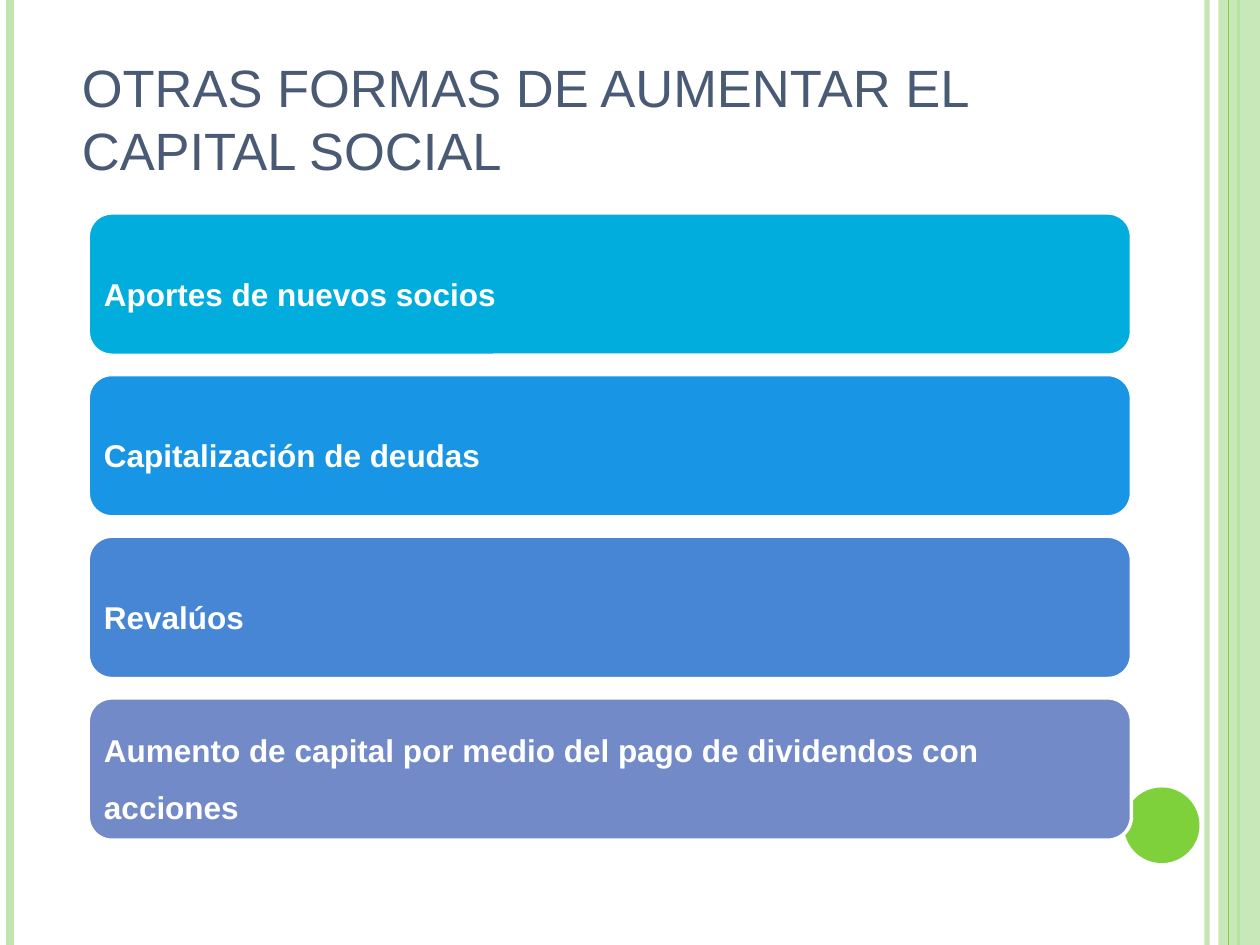
from lxml import etree
from pptx import Presentation
from pptx.dml.color import RGBColor
from pptx.enum import shapes, text
from pptx.oxml.ns import qn
from pptx.util import Inches, Pt


def paint(color_format, hex_color, alpha=100):
    """Set a solid colour, with opacity in percent."""
    color_format.solid()
    color_format.fore_color.rgb = RGBColor.from_string(hex_color)
    if alpha < 100:
        clr = color_format._xPr.find(qn("a:solidFill"))[0]
        etree.SubElement(clr, qn("a:alpha")).set("val", str(alpha * 1000))


def add_rule(x, hex_color, width, alpha=100):
    """Draw a vertical line over the full slide height."""
    ln = slide.shapes.add_connector(shapes.MSO_CONNECTOR.STRAIGHT,
                                    Inches(x), 0, Inches(x), prs.slide_height)
    paint(ln.line.fill, hex_color, alpha)
    ln.line.width = Pt(width)
    etree.SubElement(ln._element.spPr, qn("a:effectLst"))


prs = Presentation()
prs.slide_width, prs.slide_height = Inches(10), Inches(7.5)
slide = prs.slides.add_slide(prs.slide_layouts[5])
GREEN, PALE = "7FD13B", "C0E5AF"

# Side decoration
add_rule(9.58, PALE, 3, 93)
add_rule(0.08, PALE, 4.5)
add_rule(9.83, GREEN, 1.5)
band = slide.shapes.add_shape(shapes.MSO_SHAPE.RECTANGLE,
                              Inches(9.67), 0, Inches(0.33), prs.slide_height)
paint(band.fill, PALE, 87)
add_rule(9.75, GREEN, 0.75)
dot = slide.shapes.add_shape(shapes.MSO_SHAPE.OVAL, Inches(8.92), Inches(6.25),
                             Inches(0.6), Inches(0.6))
paint(dot.fill, GREEN)
for sp in (band, dot):
    sp.line.fill.background()
    sp.shadow.inherit = False

# Title
title = slide.shapes.title
title.left, title.top = Inches(0.55), Inches(0.07)
title.width, title.height = Inches(8.8), Inches(1.42)
tf = title.text_frame
tf.text = "OTRAS FORMAS DE AUMENTAR EL CAPITAL SOCIAL"
tf.auto_size = text.MSO_AUTO_SIZE.NONE
tf.vertical_anchor = text.MSO_ANCHOR.BOTTOM
p = tf.paragraphs[0]
p.alignment = text.PP_ALIGN.LEFT
r = p.runs[0]
r.font.name, r.font.size = "Arial", Pt(30)
paint(r.font.fill, "495A74")

# Stacked bars
bars = [
    ("Aportes de nuevos socios", "00ADDC"),
    ("Capitalización de deudas", "1895E4"),
    ("Revalúos", "4786D4"),
    ("Aumento de capital por medio del pago de dividendos con acciones", "738AC8"),
]
frame_format = {"word_wrap": True, "vertical_anchor": text.MSO_ANCHOR.MIDDLE}
frame_format.update({f"margin_{side}": Inches(0.07)
                     for side in ("left", "top", "right", "bottom")})
para_format = {"alignment": text.PP_ALIGN.LEFT, "line_spacing": 1.5,
               "space_after": Pt(6.3)}
font_format = {"name": "Arial", "size": Pt(18), "bold": True}
for i, (label, color) in enumerate(bars):
    sp = slide.shapes.add_shape(shapes.MSO_SHAPE.ROUNDED_RECTANGLE,
                                Inches(0.7), Inches(1.69 + 1.283 * i),
                                Inches(8.28), Inches(1.13))
    sp.shadow.inherit = False
    paint(sp.fill, color)
    paint(sp.line.fill, "FFFFFF")
    sp.line.width = Pt(2)
    tf = sp.text_frame
    tf.text = label
    p = tf.paragraphs[0]
    r = p.runs[0]
    for target, values in ((tf, frame_format), (p, para_format), (r.font, font_format)):
        for name, value in values.items():
            setattr(target, name, value)
    paint(r.font.fill, "FFFFFF")

prs.save("out.pptx")
